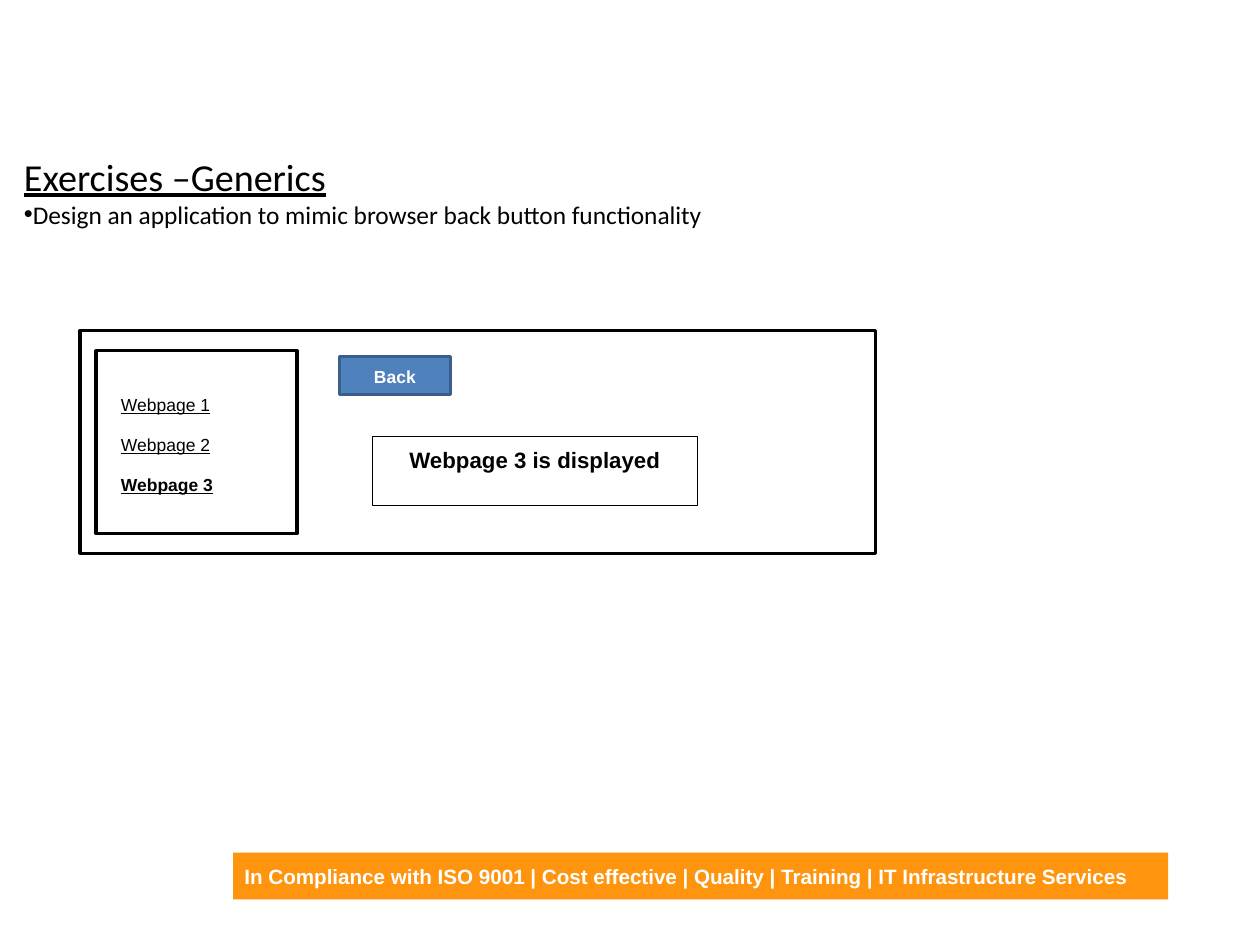
import dataclasses
import typing

import pptx
import pptx.dml.color
import pptx.enum.shapes
import pptx.enum.text
import pptx.oxml
import pptx.oxml.ns
import pptx.util

Inches = pptx.util.Inches
Pt = pptx.util.Pt
Align = pptx.enum.text.PP_ALIGN
Anchor = pptx.enum.text.MSO_ANCHOR
Place = tuple[float, float, float, float]


@dataclasses.dataclass
class Box:
    place: Place
    fill: str = "FFFFFF"
    line: str = ""
    width: float = 2
    lines: tuple[str, ...] = ()
    size: float = 11
    color: str = "FFFFFF"
    align: typing.Any = Align.CENTER
    anchor: typing.Any = Anchor.MIDDLE
    under: bool = False
    space: float = 1.15
    after: float = 10


BOXES = [
    # Footer banner
    Box((2.04, 7.46, 8.18, 0.41), "FF950E", size=13, align=Align.LEFT, space=1, after=0,
        lines=("In Compliance with ISO 9001 | Cost effective | Quality | Training"
               " | IT Infrastructure Services",)),
    # Browser window and side panel
    Box((0.7, 2.89, 6.96, 1.95), line="000000"),
    Box((0.84, 3.07, 1.76, 1.6), line="000000"),
    # Page links
    Box((0.96, 3.37, 1.5, 1.13), lines=("Webpage 1", "Webpage 2", "Webpage 3"),
        color="000000", align=Align.LEFT, anchor=Anchor.TOP, under=True),
    # Back button and page view
    Box((2.97, 3.12, 0.97, 0.33), "4F81BD", "3A5F8C", lines=("Back",)),
    Box((3.26, 3.82, 2.84, 0.6), line="000000", width=0.5, lines=("Webpage 3 is displayed",),
        size=14, color="000000", anchor=Anchor.TOP),
]


def paint(target: typing.Any, color: str) -> None:
    target.rgb = pptx.dml.color.RGBColor.from_string(color)


def style(para: typing.Any, face: str, size: float, color: str,
          bold: bool = False, under: bool = False) -> None:
    for run in para.runs:
        font = run.font
        font.name, font.size = face, Pt(size)
        font.bold, font.underline = bold, under
        paint(font.color, color)


def draw(slide: typing.Any, box: Box) -> None:
    shape = slide.shapes.add_shape(
        pptx.enum.shapes.MSO_SHAPE.RECTANGLE, *map(Inches, box.place))
    shape.shadow.inherit = False
    shape.fill.solid()
    paint(shape.fill.fore_color, box.fill)
    if box.line:
        paint(shape.line.color, box.line)
        shape.line.width = Pt(box.width)
    else:
        shape.line.fill.background()
    if box.lines:
        frame = shape.text_frame
        frame.text = "\n".join(box.lines)
        frame.word_wrap = True
        frame.vertical_anchor = box.anchor
        for para in frame.paragraphs:
            para.alignment = box.align
            para.line_spacing = box.space
            para.space_after = Pt(box.after)
            # The last line is bold: the open page, or a lone label
            bold = para.text == box.lines[-1]
            style(para, "Arial", box.size, box.color, bold, box.under)


def fill_holder(holder: typing.Any, place: Place, text: str, size: float,
                under: bool = False) -> typing.Any:
    holder.left, holder.top, holder.width, holder.height = map(Inches, place)
    frame = holder.text_frame
    frame.text = text
    frame.word_wrap = True
    frame.auto_size = pptx.enum.text.MSO_AUTO_SIZE.NONE
    frame.vertical_anchor = Anchor.TOP
    para = frame.paragraphs[0]
    para.alignment = Align.LEFT
    para.space_before = Pt(0)
    style(para, "Calibri", size, "000000", under=under)
    return frame


def add_bullet(para: typing.Any) -> None:
    props = para._p.get_or_add_pPr()
    props.set("marL", "0")
    props.set("indent", "0")
    mark = f'<a:buChar {pptx.oxml.ns.nsdecls("a")} char="•"/>'
    props.append(pptx.oxml.parse_xml(mark))


def main() -> None:
    # Page of 28 by 21 centimetres
    deck = pptx.Presentation()
    deck.slide_width = Inches(28 / 2.54)
    deck.slide_height = Inches(21 / 2.54)
    slide = deck.slides.add_slide(deck.slide_layouts[1])

    # Heading and task
    title = fill_holder(slide.shapes.title, (0.11, 1.29, 10.77, 0.45),
                        "Exercises –Generics", 24, under=True)
    title.margin_bottom = Inches(0)
    task = fill_holder(slide.placeholders[1], (0.11, 1.74, 10.77, 0.66),
                       "Design an application to mimic browser back button functionality", 16)
    task.margin_top = Inches(0)
    add_bullet(task.paragraphs[0])

    # Banner and browser sketch
    for box in BOXES:
        draw(slide, box)

    deck.save("out.pptx")


if __name__ == "__main__":
    main()
